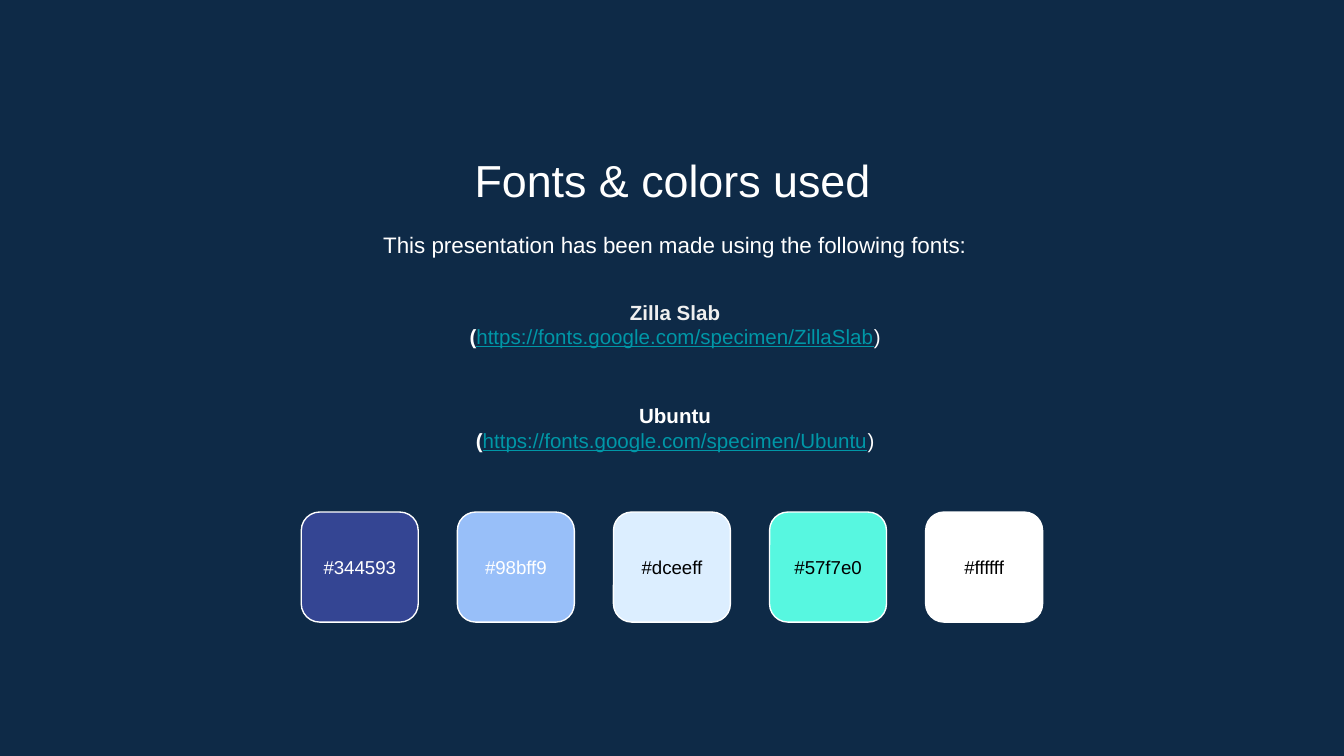
from pptx import Presentation
from pptx.dml.color import RGBColor
from pptx.enum.shapes import MSO_SHAPE
from pptx.enum.text import MSO_ANCHOR, PP_ALIGN
from pptx.util import Cm, Pt

ROUNDED = MSO_SHAPE.ROUNDED_RECTANGLE
CENTER = PP_ALIGN.CENTER
TOP, MIDDLE = MSO_ANCHOR.TOP, MSO_ANCHOR.MIDDLE

# Content
TITLE = "Fonts & colors used"
INTRO = "This presentation has been made using the following fonts:"
FONTS = [
    ("Zilla Slab", "EFEFEF", "https://fonts.google.com/specimen/ZillaSlab"),
    ("Ubuntu", "FFFFFF", "https://fonts.google.com/specimen/Ubuntu"),
]
SWATCHES = [  # colour code, label colour
    ("#344593", "FFFFFF"),
    ("#98bff9", "FFFFFF"),
    ("#dceeff", "000000"),
    ("#57f7e0", "000000"),
    ("#ffffff", "000000"),
]

THEME = {
    "font": "Arial", "background": "0E2A47", "text": "FFFFFF", "link": "0097A7",
    "title": 24, "intro": 12, "body": 11, "label": 10, "outline": 0.75,
}

# Layout in centimetres
SLIDE_W, SLIDE_H = 25.4, 14.29
TEXT_LEFT, TEXT_W = 2.97, 19.58
SWATCH_W, SWATCH_H, SWATCH_TOP, SWATCH_PITCH = 2.21, 2.08, 9.68, 2.95
INSET = 0.25


def rgb(code):
    return RGBColor.from_string(code.lstrip("#").upper())


def place(shape, left, top, width, height):
    shape.left, shape.top = Cm(left), Cm(top)
    shape.width, shape.height = Cm(width), Cm(height)


def write(shape, paragraphs, size, anchor=TOP, side_inset=INSET):
    """Fill a shape with (runs, paragraph format) pairs; a run is (text, format)."""
    frame = shape.text_frame
    frame.word_wrap = True
    frame.vertical_anchor = anchor
    frame.margin_left = frame.margin_right = Cm(side_inset)
    frame.margin_top = frame.margin_bottom = Cm(INSET)
    for index, (runs, spacing) in enumerate(paragraphs):
        paragraph = frame.add_paragraph() if index else frame.paragraphs[0]
        paragraph.alignment = CENTER
        paragraph.line_spacing = spacing.get("line", 1.0)
        paragraph.space_before = Pt(spacing.get("before", 0))
        for text, style in runs:
            run = paragraph.add_run()
            run.text = text
            run.font.name = THEME["font"]
            run.font.size = Pt(size)
            run.font.bold = style.get("bold", False)
            run.font.underline = style.get("underline", False)
            run.font.color.rgb = rgb(style.get("color", THEME["text"]))


prs = Presentation()
prs.slide_width, prs.slide_height = Cm(SLIDE_W), Cm(SLIDE_H)
slide = prs.slides.add_slide(prs.slide_layouts[5])
slide.background.fill.solid()
slide.background.fill.fore_color.rgb = rgb(THEME["background"])

# Title
title = slide.shapes.title
place(title, 2.92, 2.64, TEXT_W, 1.35)
write(title, [([(TITLE, {})], {})], THEME["title"])

# Introduction
intro = slide.shapes.add_textbox(0, 0, 0, 0)
place(intro, TEXT_LEFT, 4.04, TEXT_W, 1.22)
write(intro, [([(INTRO, {})], {"line": 1.15})], THEME["intro"])

# Font names, each with its address below
font_lines = []
for index, (name, color, address) in enumerate(FONTS):
    font_lines.append(([(name, {"bold": True, "color": color})],
                       {"line": 1.15, "before": 27 if index else 0}))
    font_lines.append(([("(", {"bold": True}),
                        (address, {"color": THEME["link"], "underline": True}),
                        (")", {})], {}))
font_list = slide.shapes.add_textbox(0, 0, 0, 0)
place(font_list, TEXT_LEFT, 5.33, TEXT_W, 3.48)
write(font_list, font_lines, THEME["body"], anchor=MIDDLE)

# Colour swatches, centred as a row
row_w = SWATCH_PITCH * (len(SWATCHES) - 1) + SWATCH_W
row_left = (SLIDE_W - row_w) / 2
for index, (code, label_color) in enumerate(SWATCHES):
    swatch = slide.shapes.add_shape(ROUNDED, 0, 0, 0, 0)
    place(swatch, row_left + index * SWATCH_PITCH, SWATCH_TOP, SWATCH_W, SWATCH_H)
    swatch.shadow.inherit = False
    swatch.fill.solid()
    swatch.fill.fore_color.rgb = rgb(code)
    swatch.line.color.rgb = rgb(THEME["text"])
    swatch.line.width = Pt(THEME["outline"])
    write(swatch, [([(code, {"color": label_color})], {})],
          THEME["label"], anchor=MIDDLE, side_inset=0.1)

prs.save("out.pptx")
